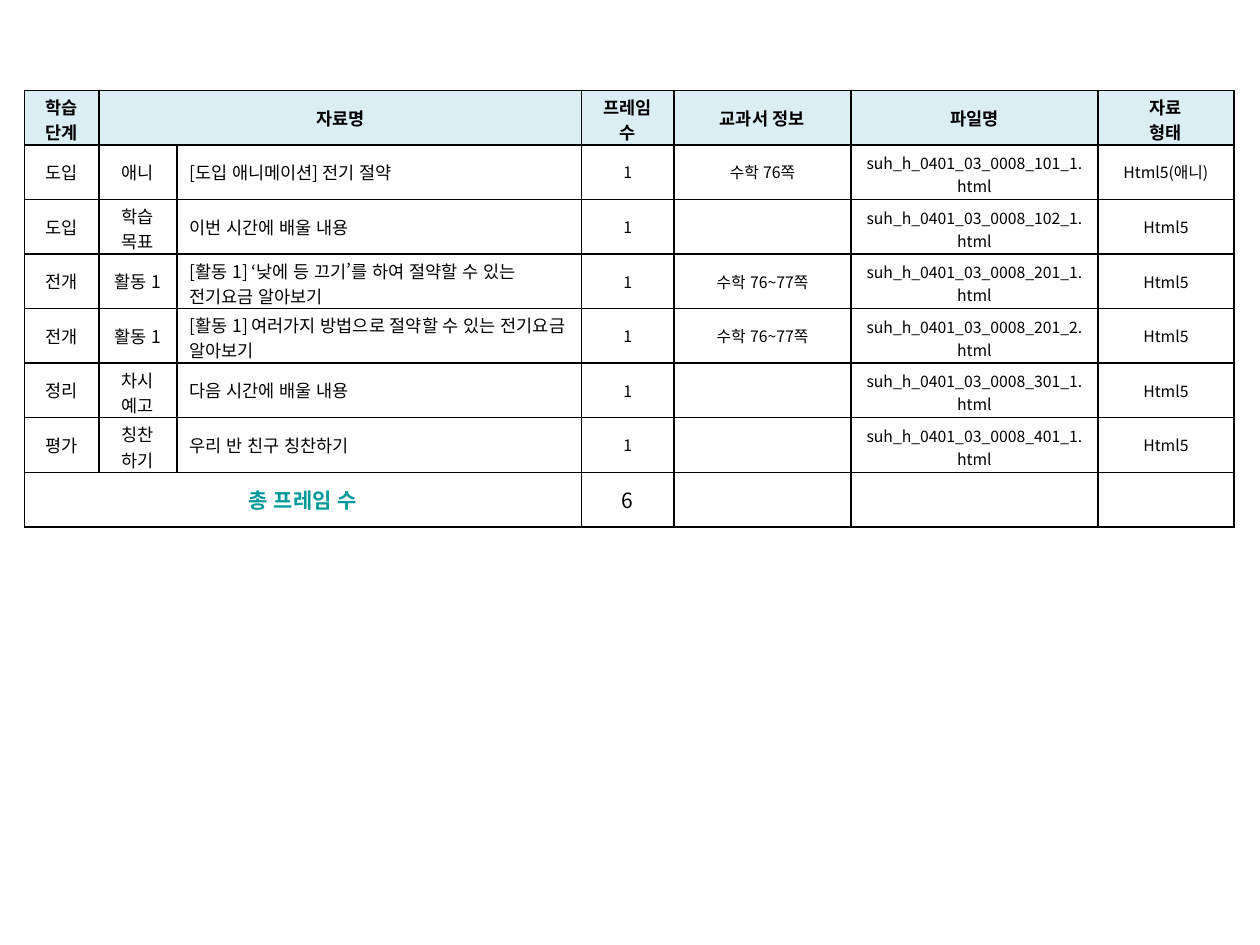
import pptx
import pptx.dml.color
import pptx.enum.lang
import pptx.enum.text
import pptx.oxml.ns
import pptx.util
from lxml import etree

Pt = pptx.util.Pt
RGBColor = pptx.dml.color.RGBColor
qn = pptx.oxml.ns.qn
PP_ALIGN = pptx.enum.text.PP_ALIGN
KOREAN = pptx.enum.lang.MSO_LANGUAGE_ID.KOREAN

BLACK = RGBColor(0x00, 0x00, 0x00)
TEAL = RGBColor(0x00, 0x99, 0x99)
PALE_BLUE = RGBColor(0xDB, 0xEE, 0xF4)
FONT = "Noto Sans CJK KR"

COLUMN_WIDTHS = [42.5, 44.6, 231.1, 53, 101.1, 141.1, 77.8]
# Top and bottom cell margins
ONE_LINE = (3.6, 3.6)
TWO_LINES = (2.2, 0)
TWO_SMALL_LINES = (3.6, 1.2)

HEADER = ["학습 단계", "자료명", "", "프레임 수", "교과서 정보", "파일명", "자료\n형태"]
HEADER_TWO_LINES = (0, 3, 6)
# Stage, kind, material, textbook pages, file number, format
MATERIALS = [
    ("도입", "애니", "[도입 애니메이션] 전기 절약", "수학 76쪽", "101_1", "Html5(애니)"),
    ("도입", "학습 목표", "이번 시간에 배울 내용", "", "102_1", "Html5"),
    ("전개", "활동 1", "[활동 1] ‘낮에 등 끄기’를 하여 절약할 수 있는 전기요금 알아보기",
     "수학 76~77쪽", "201_1", "Html5"),
    ("전개", "활동 1", "[활동 1] 여러가지 방법으로 절약할 수 있는 전기요금 알아보기",
     "수학 76~77쪽", "201_2", "Html5"),
    ("정리", "차시 예고", "다음 시간에 배울 내용", "", "301_1", "Html5"),
    ("평가", "칭찬\n하기", "우리 반 친구 칭찬하기", "", "401_1", "Html5"),
]
MATERIAL_TWO_LINES = ("학습 목표", "차시 예고", "칭찬\n하기", MATERIALS[2][2], MATERIALS[3][2])


def add_borders(cell):
    tc_pr = cell._tc.get_or_add_tcPr()
    for i, side in enumerate(("a:lnL", "a:lnR", "a:lnT", "a:lnB")):
        ln = etree.Element(qn(side), w=str(Pt(1)))
        fill = etree.SubElement(ln, qn("a:solidFill"))
        etree.SubElement(fill, qn("a:srgbClr"), val=str(BLACK))
        tc_pr.insert(i, ln)


def format_cell(cell, text, size, bold=False, color=BLACK, align=PP_ALIGN.CENTER,
                fill=None, margins=ONE_LINE):
    cell.text = text
    cell.vertical_anchor = pptx.enum.text.MSO_ANCHOR.MIDDLE
    cell.margin_top, cell.margin_bottom = (Pt(m) for m in margins)
    if fill is None:
        cell.fill.background()
    else:
        cell.fill.solid()
        cell.fill.fore_color.rgb = fill
    add_borders(cell)
    for p in cell.text_frame.paragraphs:
        p.alignment = align
        font = p.font
        font.size, font.bold, font.name = Pt(size), bold, FONT
        font.color.rgb = color
        # Hangul takes the East Asian font
        etree.SubElement(font._element, qn("a:ea"), typeface=FONT)
        for r in p.runs:
            r.font.language_id = KOREAN
        if not text:
            etree.SubElement(p._p, qn("a:endParaRPr"), sz=str(size * 100))


def add_material_table(s, left, top, width, height):
    row_count = len(MATERIALS) + 2
    table = s.shapes.add_table(row_count, len(COLUMN_WIDTHS), Pt(left), Pt(top),
                               Pt(width), Pt(height)).table
    table.first_row = table.horz_banding = False
    for column, column_width in zip(table.columns, COLUMN_WIDTHS):
        column.width = Pt(column_width)
    for row in table.rows:
        row.height = Pt(height / row_count)

    # Header
    for c, text in enumerate(HEADER):
        format_cell(table.cell(0, c), text, 10, bold=True, fill=PALE_BLUE,
                    margins=TWO_LINES if c in HEADER_TWO_LINES else ONE_LINE)
    table.cell(0, 1).merge(table.cell(0, 2))

    # One row for each material
    for r, (stage, kind, name, pages, number, form) in enumerate(MATERIALS, 1):
        file_name = f"suh_h_0401_03_0008_{number}.html"
        for c, text in enumerate((stage, kind, name, "1", pages, file_name, form)):
            margins = ONE_LINE
            if text in MATERIAL_TWO_LINES:
                margins = TWO_LINES
            elif text == file_name:
                margins = TWO_SMALL_LINES
            format_cell(table.cell(r, c), text, 10 if c < 3 else 9, margins=margins,
                        align=PP_ALIGN.LEFT if c == 2 else PP_ALIGN.CENTER)

    # Total
    last = row_count - 1
    total = ["총 프레임 수", "", "", str(len(MATERIALS)), "", "", ""]
    for c, text in enumerate(total):
        format_cell(table.cell(last, c), text, 12, bold=c == 0,
                    color=TEAL if c == 0 else BLACK)
    table.cell(last, 0).merge(table.cell(last, 2))


def main():
    prs = pptx.Presentation()
    prs.slide_width, prs.slide_height = Pt(720), Pt(540)
    s = prs.slides.add_slide(prs.slide_layouts[6])
    add_material_table(s, 14, 51.6, sum(COLUMN_WIDTHS), 249.6)
    prs.save("out.pptx")


if __name__ == "__main__":
    main()
